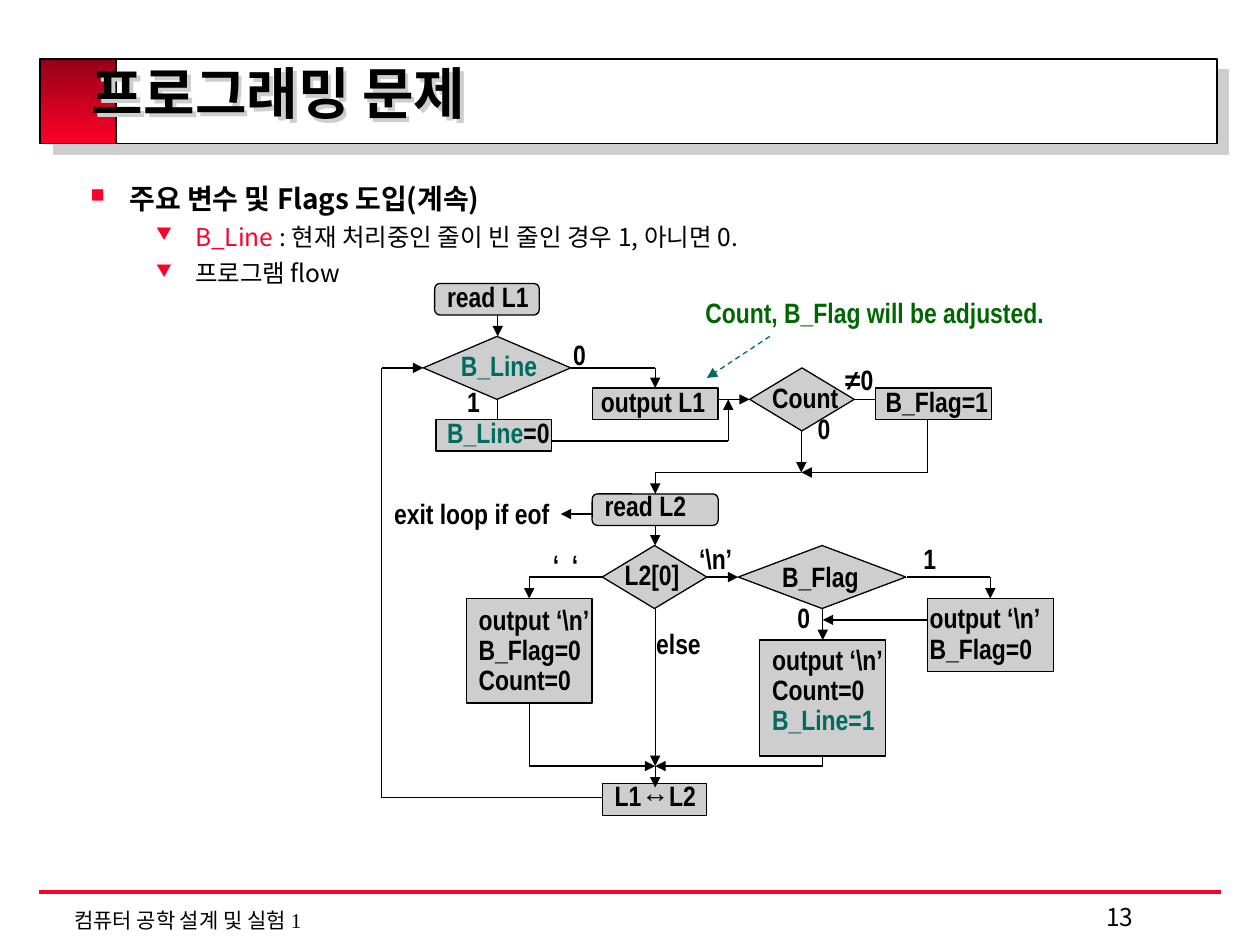
from dataclasses import dataclass

import lxml.etree
import pptx
import pptx.dml.color
import pptx.enum.dml
import pptx.enum.shapes
import pptx.enum.text
import pptx.oxml
import pptx.oxml.ns
import pptx.util

Inches = pptx.util.Inches
Pt = pptx.util.Pt
SHAPE = pptx.enum.shapes.MSO_SHAPE
ALIGN = pptx.enum.text.PP_ALIGN
qn = pptx.oxml.ns.qn


@dataclass(frozen=True)
class Theme:
    black: str = "000000"
    white: str = "FFFFFF"
    grey: str = "CECECE"
    red: str = "FC0128"
    dark_red: str = "950118"
    teal: str = "006B61"
    green: str = "006600"
    korean: str = "Noto Sans CJK KR"
    serif: str = "Times New Roman"
    narrow: str = "Arial Narrow"
    title_size: float = 32
    heading_size: float = 16
    body_size: float = 14
    footer_size: float = 12
    chart_size: float = 16
    thin: float = 0.75


THEME = Theme()
Point = tuple[float, float]
Piece = tuple[str, str]  # text, colour


@dataclass
class Node:
    shape: SHAPE
    left: float
    top: float
    width: float
    height: float = 0.25


@dataclass
class Label:
    left: float
    top: float
    width: float
    lines: list[list[Piece]]
    height: float = 0.37
    spacing: float = 1.0


@dataclass
class Route:
    """A line through several points, with an arrowhead on its last leg."""
    points: list[Point]
    arrow: bool = True
    color: str = THEME.black
    dash: bool = False


def rgb(color: str) -> pptx.dml.color.RGBColor:
    return pptx.dml.color.RGBColor.from_string(color)


def add_shadow(shape, color: str, distance: float) -> None:
    """Cast a sharp shadow to the lower right; an unfilled shape casts it from its text."""
    shape.shadow.inherit = False
    effects = shape.element.spPr.find(qn("a:effectLst"))
    shadow = lxml.etree.SubElement(effects, qn("a:outerShdw"), blurRad="0", dist=str(Pt(distance)),
                                   dir="2700000", algn="ctr", rotWithShape="0")
    lxml.etree.SubElement(shadow, qn("a:srgbClr"), val=color)


def add_span(para, text: str, font: str, size: float, color: str, bold: bool = False):
    span = para.add_run()
    span.text = text
    span.font.name, span.font.size, span.font.bold = font, Pt(size), bold
    span.font.color.rgb = rgb(color)
    return span


def set_korean(span) -> None:
    latin = span.font._element.find(qn("a:latin"))
    latin.addnext(latin.makeelement(qn("a:ea"), {"typeface": THEME.korean}))


def add_box(page, left: float, top: float, width: float, height: float):
    box = page.shapes.add_textbox(Inches(left), Inches(top), Inches(width), Inches(height))
    box.text_frame.word_wrap = True
    return box


def add_node(page, node: Node, color: str = THEME.grey, line: float = THEME.thin):
    shape = page.shapes.add_shape(node.shape, Inches(node.left), Inches(node.top),
                                  Inches(node.width), Inches(node.height))
    shape.shadow.inherit = False
    shape.fill.solid()
    shape.fill.fore_color.rgb = rgb(color)
    shape.line.color.rgb = rgb(THEME.black)
    shape.line.width = Pt(line)
    return shape


def add_line(page, start: Point, end: Point, color: str, width: float, arrow: bool = False):
    line = page.shapes.add_connector(pptx.enum.shapes.MSO_CONNECTOR.STRAIGHT,
                                     *map(Inches, (*start, *end)))
    line.line.color.rgb = rgb(color)
    line.line.width = Pt(width)
    if arrow:
        lxml.etree.SubElement(line.line._get_or_add_ln(), qn("a:tailEnd"), type="triangle")
    lxml.etree.SubElement(line.element.spPr, qn("a:effectLst"))
    return line


def add_route(page, route: Route) -> None:
    legs = list(zip(route.points, route.points[1:]))
    for index, (start, end) in enumerate(legs, 1):
        line = add_line(page, start, end, route.color, THEME.thin, route.arrow and index == len(legs))
        if route.dash:
            line.line.dash_style = pptx.enum.dml.MSO_LINE.DASH


def add_label(page, label: Label) -> None:
    frame = add_box(page, label.left, label.top, label.width, label.height).text_frame
    frame.word_wrap = False
    frame.auto_size = pptx.enum.text.MSO_AUTO_SIZE.SHAPE_TO_FIT_TEXT
    for index, pieces in enumerate(label.lines):
        para = frame.add_paragraph() if index else frame.paragraphs[0]
        para.line_spacing = label.spacing
        for text, color in pieces:
            add_span(para, text, THEME.narrow, THEME.chart_size, color, True)


def add_bullet(para, mark: str, margin: float) -> None:
    props = para._p.get_or_add_pPr()
    props.set("marL", str(Inches(margin)))
    props.set("indent", str(Inches(-0.31)))
    color = lxml.etree.SubElement(props, qn("a:buClr"))
    lxml.etree.SubElement(color, qn("a:srgbClr"), val=THEME.red)
    lxml.etree.SubElement(props, qn("a:buSzPct"), val="70000")
    lxml.etree.SubElement(props, qn("a:buChar"), char=mark)


def add_frame(page) -> None:
    """Draw the title banner, the title and the footer."""
    banner = add_node(page, Node(SHAPE.RECTANGLE, 0.34, 0.47, 9.32, 0.67), THEME.white, 1)
    add_shadow(banner, THEME.grey, 8.5)
    accent = add_node(page, Node(SHAPE.RECTANGLE, 0.32, 0.47, 0.6, 0.67), THEME.red, 1)
    accent.fill.gradient()
    accent.fill.gradient_angle = 270
    for stop, color in zip(accent.fill.gradient_stops, (THEME.dark_red, THEME.red)):
        stop.color.rgb = rgb(color)
    title = page.shapes.title
    title.element.getparent().append(title.element)  # in front of the banner
    title.left, title.top, title.width, title.height = map(Inches, (0.63, 0.33, 8.75, 0.9))
    title.fill.background()
    title.line.fill.background()
    add_shadow(title, THEME.grey, 3)
    title.text_frame.vertical_anchor = pptx.enum.text.MSO_ANCHOR.MIDDLE
    para = title.text_frame.paragraphs[0]
    para.alignment, para.line_spacing = ALIGN.LEFT, 0.8
    set_korean(add_span(para, "프로그래밍 문제", THEME.serif, THEME.title_size, THEME.black, True))
    add_line(page, (0.31, 7.08), (9.69, 7.08), THEME.red, 2.25)
    footer = add_box(page, 0.49, 7.15, 6.68, 0.3).text_frame.paragraphs[0]
    set_korean(add_span(footer, "컴퓨터 공학 설계 및 실험 1", THEME.serif, THEME.footer_size, THEME.black))
    number = add_box(page, 8.68, 7.11, 1.08, 0.33).text_frame.paragraphs[0]
    add_span(number, "13", THEME.korean, THEME.body_size, THEME.black)


def add_body(page) -> None:
    items = [
        ("■", 0.31, THEME.heading_size, [("주요 변수 및 Flags 도입(계속)", THEME.black)]),
        ("▼", 0.83, THEME.body_size, [("B_Line", THEME.red),
                                      (" : 현재 처리중인 줄이 빈 줄인 경우 1, 아니면 0.", THEME.black)]),
        ("▼", 0.83, THEME.body_size, [("프로그램 flow", THEME.black)]),
    ]
    frame = add_box(page, 0.62, 1.39, 8.73, 5.2).text_frame
    for index, (mark, margin, size, pieces) in enumerate(items):
        para = frame.add_paragraph() if index else frame.paragraphs[0]
        para.level = 1 if index else 0
        para.alignment, para.line_spacing = ALIGN.JUSTIFY, 1.0
        para.space_before = Pt(4 if index else 0)
        add_bullet(para, mark, margin)
        for text, color in pieces:
            set_korean(add_span(para, text, THEME.korean, size, color, index == 0))


def plain(*lines: str, color: str = THEME.black) -> list[list[Piece]]:
    return [[(line, color)] for line in lines]


RECT, ROUND, DIAMOND = SHAPE.RECTANGLE, SHAPE.ROUNDED_RECTANGLE, SHAPE.DIAMOND
NODES = [
    Node(ROUND, 3.45, 2.25, 0.83), Node(DIAMOND, 3.36, 2.67, 1.17, 0.5), Node(RECT, 3.46, 3.33, 0.92),
    Node(RECT, 4.7, 3.08, 1), Node(DIAMOND, 5.95, 2.92, 0.83, 0.5), Node(RECT, 6.95, 3.08, 0.92),
    Node(ROUND, 4.7, 3.92, 1), Node(DIAMOND, 4.78, 4.33, 0.83, 0.5), Node(DIAMOND, 5.86, 4.33, 1.33, 0.5),
    Node(RECT, 3.7, 4.75, 1, 0.83), Node(RECT, 6.03, 5.08, 1, 0.92), Node(RECT, 7.36, 4.75, 1, 0.58),
    Node(RECT, 4.78, 6.22, 0.83),
]
ROUTES = [
    Route([(3.95, 2.5), (3.95, 2.67)]),
    Route([(4.53, 2.92), (5.2, 2.92), (5.2, 3.08)]),
    Route([(3.95, 3.17), (3.95, 3.33)], arrow=False),
    Route([(4.38, 3.5), (5.78, 3.5), (5.78, 3.17)]),
    Route([(5.7, 3.17), (5.95, 3.17)]),
    Route([(6.78, 3.17), (6.95, 3.17)], arrow=False),
    Route([(6.36, 3.42), (6.36, 3.75)]),
    Route([(7.36, 3.33), (7.36, 3.75), (6.36, 3.75)]),
    Route([(6.36, 3.75), (5.2, 3.75), (5.2, 3.92)]),
    Route([(4.7, 4.08), (4.45, 4.08)]),
    Route([(5.2, 4.17), (5.2, 4.33)]),
    Route([(4.78, 4.58), (4.2, 4.58), (4.2, 4.75)]),
    Route([(5.61, 4.58), (5.86, 4.58)]),
    Route([(7.2, 4.58), (7.86, 4.58), (7.86, 4.75)]),
    Route([(7.36, 4.92), (6.53, 4.92)]),
    Route([(6.53, 4.83), (6.53, 5.08)]),
    Route([(5.2, 4.83), (5.2, 6.08)]),
    Route([(4.2, 5.58), (4.2, 6.08), (5.2, 6.08)]),
    Route([(6.53, 6), (6.53, 6.08), (5.2, 6.08)]),
    Route([(5.2, 6.08), (5.2, 6.25)]),
    Route([(4.78, 6.33), (3.03, 6.33), (3.03, 2.92), (3.36, 2.92)]),
    Route([(6.11, 2.67), (5.61, 3)], color=THEME.teal, dash=True),
]
LABELS = [
    Label(3.45, 2.17, 0.85, plain("read L1")),
    Label(3.56, 2.75, 0.81, plain("B_Line", color=THEME.teal), 0.34, 0.9),
    Label(3.45, 3.25, 1.01, [[("B_Line", THEME.teal), ("=0", THEME.black)]]),
    Label(4.67, 3, 1.03, plain("output L1")),
    Label(6.03, 2.97, 0.73, plain("Count")),
    Label(6.93, 3, 1.01, plain("B_Flag=1")),
    Label(4.7, 3.83, 0.85, plain("read L2")),
    Label(4.86, 4.38, 0.64, plain("L2[0]")),
    Label(6.11, 4.42, 0.81, plain("B_Flag"), 0.34, 0.9),
    Label(3.7, 4.76, 1.08, plain("output ‘\\n’", "B_Flag=0", "Count=0"), 0.82, 0.9),
    Label(7.28, 4.75, 1.08, plain("output ‘\\n’", "B_Flag=0"), 0.58, 0.9),
    Label(6.03, 5.08, 1.08, plain("output ‘\\n’", "Count=0") + plain("B_Line=1", color=THEME.teal), 0.82, 0.9),
    Label(4.78, 6.13, 0.86, plain("L1↔L2")),
    Label(5.5, 2.33, 2.89, plain("Count, B_Flag will be adjusted.", color=THEME.green), 0.34, 0.9),
    Label(3.03, 3.92, 1.43, plain("exit loop if eof"), 0.34, 0.9),
    Label(4.29, 4.3, 0.4, plain("‘  ‘")), Label(5.45, 4.25, 0.46, plain("‘\\n’")),
    Label(5.11, 4.92, 0.6, plain("else")), Label(6.61, 2.83, 0.42, plain("≠0")),
    *(Label(left, top, 0.3, plain(digit)) for digit, left, top in (
        ("0", 4.45, 2.63), ("1", 3.61, 3), ("0", 6.39, 3.22), ("1", 7.23, 4.25), ("0", 6.23, 4.72))),
]


def main() -> None:
    deck = pptx.Presentation()
    deck.slide_width, deck.slide_height = Inches(10), Inches(7.5)
    page = deck.slides.add_slide(deck.slide_layouts[5])
    add_frame(page)
    add_body(page)
    for draw, parts in ((add_node, NODES), (add_route, ROUTES), (add_label, LABELS)):
        for part in parts:
            draw(page, part)
    deck.save("out.pptx")


if __name__ == "__main__":
    main()
